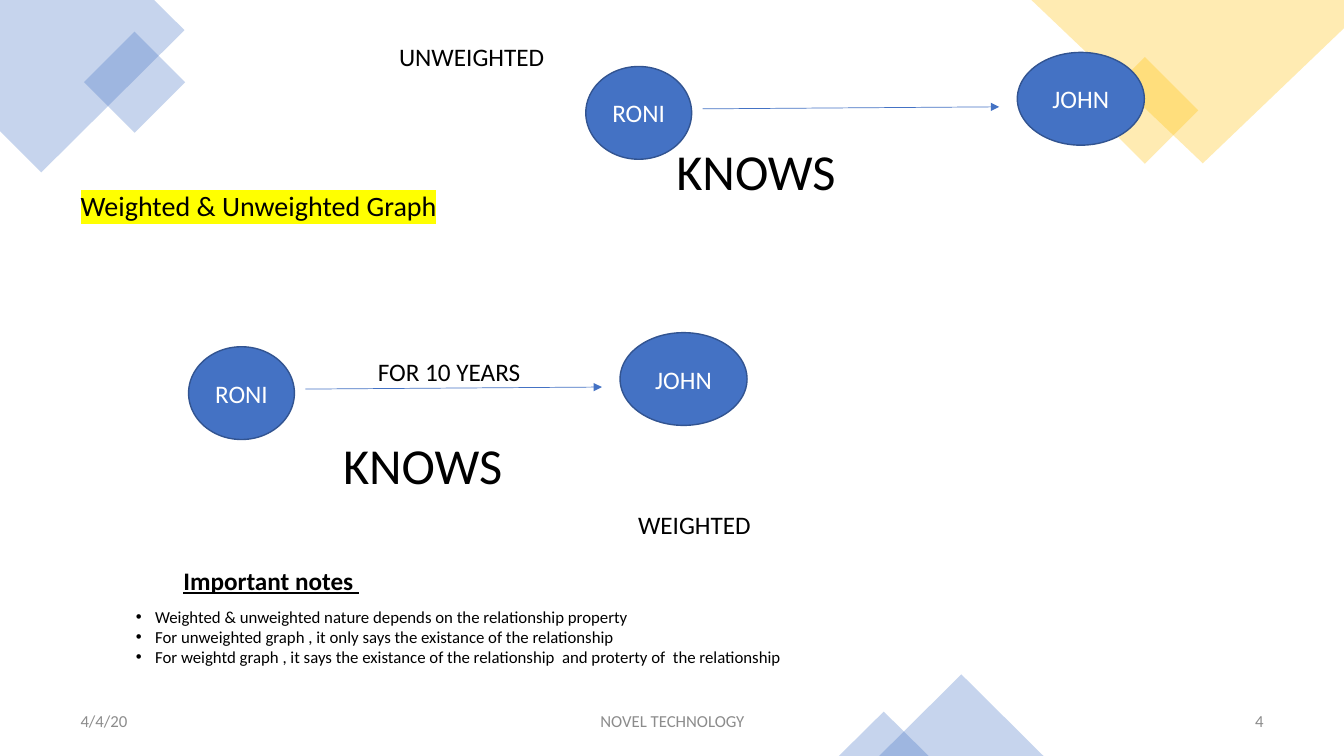
from lxml import etree
from pptx import Presentation
from pptx.dml.color import RGBColor
from pptx.enum.shapes import MSO_CONNECTOR, MSO_SHAPE
from pptx.enum.text import MSO_ANCHOR, PP_ALIGN
from pptx.oxml.ns import qn
from pptx.util import Pt

PX = 9144  # EMU per px, 100 px to the inch
THEME = {
    "font": "Calibri", "blue": "4472C4", "gold": "FFC000", "edge": "325491",
    "black": "000000", "white": "FFFFFF", "grey": "8C8C8C", "marker": "FFFF00",
    "title": 36, "heading": 20, "label": 18, "small": 12,
}


def write(sp, lines, size, color="black", align=PP_ALIGN.LEFT,
          anchor=MSO_ANCHOR.TOP, wrap=True, bullet=False):
    tf = sp.text_frame
    tf.word_wrap = wrap
    tf.vertical_anchor = anchor
    tf.text = "\n".join(lines)
    for p in tf.paragraphs:
        p.alignment = align
        if bullet:
            pPr = p._p.get_or_add_pPr()
            pPr.set("marL", str(19 * PX))
            pPr.set("indent", str(-19 * PX))
            etree.SubElement(pPr, qn("a:buFont"), typeface="Arial")
            etree.SubElement(pPr, qn("a:buChar"), char="•")
        for r in p.runs:
            r.font.size = Pt(THEME[size])
            r.font.name = THEME["font"]
            r.font.color.rgb = RGBColor.from_string(THEME[color])
    return tf.paragraphs[0]


def tint(sp, color):
    sp.shadow.inherit = False
    sp.line.fill.background()
    sp.fill.solid()
    sp.fill.fore_color.rgb = RGBColor.from_string(THEME[color])
    clr = sp._element.spPr.find(qn("a:solidFill"))[0]
    etree.SubElement(clr, qn("a:alpha"), val="30000")


prs = Presentation()
prs.slide_width, prs.slide_height = 1333 * PX, 750 * PX
slide = prs.slides.add_slide(prs.slide_layouts[6])
shapes = slide.shapes

# Corner polygons
for color, points in (
    ("blue", [(153, 0), (0, 0), (0, 130), (41, 171), (183, 30)]),
    ("gold", [(1333, 0), (1023, 0), (1193, 162), (1333, 28)]),
):
    fb = shapes.build_freeform(*points[0], scale=PX)
    fb.add_line_segments(points[1:], close=True)
    tint(fb.convert_to_shape(), color)

# Corner diamonds and bottom triangles
for kind, color, x, y, w, h, angle in (
    (MSO_SHAPE.RECTANGLE, "blue", 98, 46, 71, 71, 315),
    (MSO_SHAPE.RECTANGLE, "gold", 1098, 72, 75, 75, 315),
    (MSO_SHAPE.ISOSCELES_TRIANGLE, "blue", 872, 669, 163, 81, 0),
    (MSO_SHAPE.ISOSCELES_TRIANGLE, "blue", 832, 706, 89, 44, 0),
):
    sp = shapes.add_shape(kind, x * PX, y * PX, w * PX, h * PX)
    sp.rotation = angle
    tint(sp, color)

# Heading
sp = shapes.add_textbox(70 * PX, 186 * PX, 708 * PX, 494 * PX)
p = write(sp, ["Weighted & Unweighted Graph"], "heading")
p.line_spacing = 0.9
highlight = etree.Element(qn("a:highlight"))
etree.SubElement(highlight, qn("a:srgbClr"), val=THEME["marker"])
p.runs[0]._r.rPr.find(qn("a:solidFill")).addnext(highlight)

# Unweighted and weighted graphs: two nodes, an arrow and its relation
for x, y, in_ellipse in ((581, 66, False), (187, 344, True)):
    for name, dx, dy, w in (("RONI", 0, 0, 105), ("JOHN", 428, -14, 126)):
        sp = shapes.add_shape(MSO_SHAPE.OVAL, (x + dx) * PX, (y + dy) * PX, w * PX, 92 * PX)
        sp.shadow.inherit = False
        sp.fill.solid()
        sp.fill.fore_color.rgb = RGBColor.from_string(THEME["blue"])
        sp.line.color.rgb = RGBColor.from_string(THEME["edge"])
        sp.line.width = Pt(1)
        write(sp, [name], "label", "white", PP_ALIGN.CENTER, MSO_ANCHOR.MIDDLE)

    arrow = shapes.add_connector(MSO_CONNECTOR.STRAIGHT, (x + 116) * PX, (y + 42) * PX,
                                 (x + 410) * PX, (y + 40) * PX)
    arrow.line.color.rgb = RGBColor.from_string(THEME["blue"])
    arrow.line.width = Pt(0.5)
    etree.SubElement(arrow.line._get_or_add_ln(), qn("a:tailEnd"), type="triangle")
    etree.SubElement(arrow._element.spPr, qn("a:effectLst"))

    box = ((x + 80) * PX, (y + 75) * PX, 433 * PX, 93 * PX)
    if in_ellipse:
        sp = shapes.add_shape(MSO_SHAPE.OVAL, *box)
        sp.shadow.inherit = False
        sp.fill.background()
        sp.line.fill.background()
    else:
        sp = shapes.add_textbox(*box)
    write(sp, ["KNOWS"], "title").line_spacing = 0.9

# Labels
for text, x, y, w in (
    ("UNWEIGHTED", 386, 36, 166),
    ("FOR 10 YEARS", 365, 349, 163),
    ("WEIGHTED", 623, 500, 133),
):
    sp = shapes.add_textbox(x * PX, y * PX, w * PX, 40 * PX)
    write(sp, [text], "label", wrap=False)

# Notes
sp = shapes.add_textbox(172 * PX, 556 * PX, 196 * PX, 40 * PX)
p = write(sp, ["Important notes "], "label", wrap=False)
p.runs[0].font.bold = True
p.runs[0].font.underline = True

sp = shapes.add_textbox(125 * PX, 597 * PX, 666 * PX, 71 * PX)
write(sp, [
    "Weighted & unweighted nature depends on the relationship property",
    "For unweighted graph , it only says the existance of the relationship",
    "For weightd graph , it says the existance of the relationship  and proterty of  the relationship",
], "small", wrap=False, bullet=True)

# Footer
for text, x, w, align in (
    ("4/4/20", 70, 321, PP_ALIGN.LEFT),
    ("NOVEL TECHNOLOGY", 442, 450, PP_ALIGN.CENTER),
    ("4", 942, 321, PP_ALIGN.RIGHT),
):
    sp = shapes.add_textbox(x * PX, 695 * PX, w * PX, 40 * PX)
    write(sp, [text], "small", "grey", align, MSO_ANCHOR.MIDDLE)

prs.save("out.pptx")
